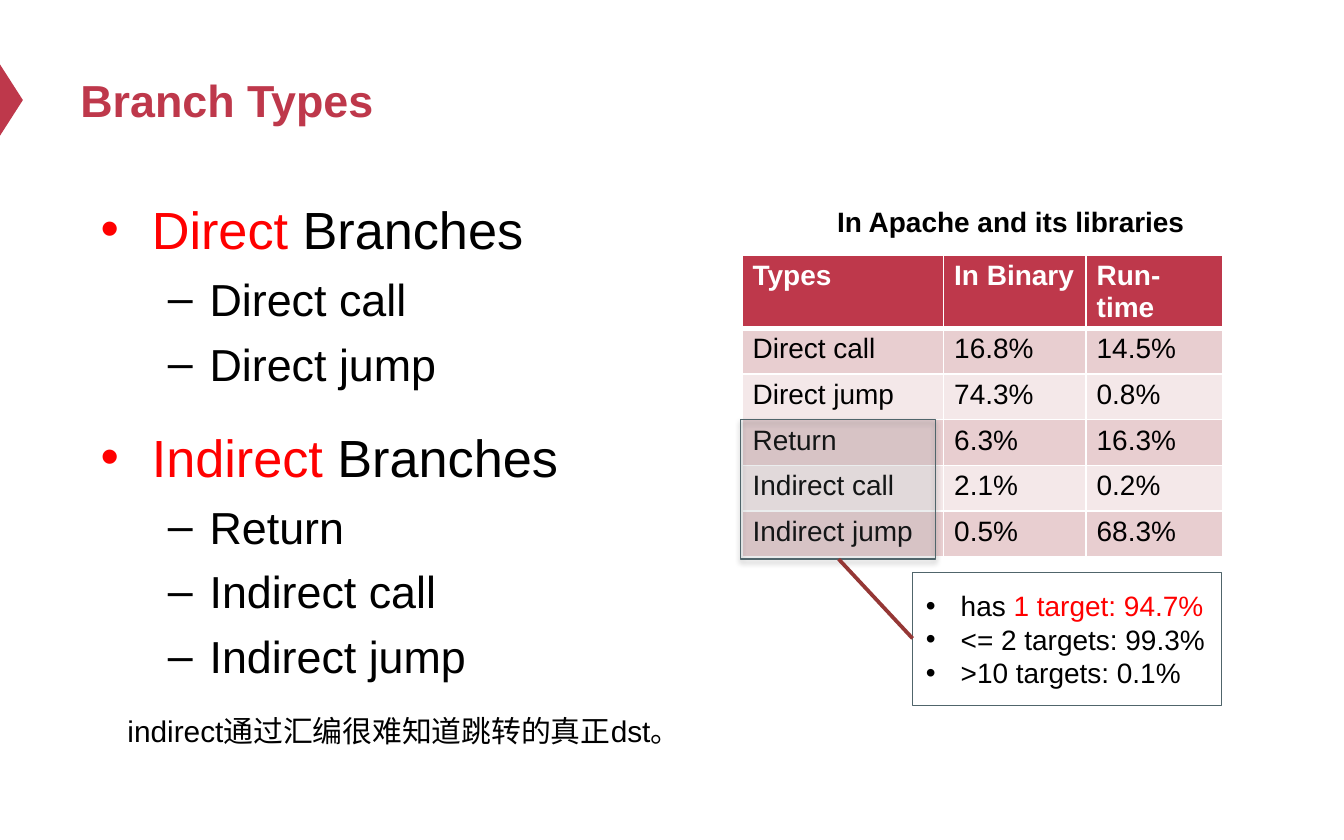
from typing import NamedTuple

from lxml.etree import SubElement
from pptx import Presentation
from pptx.dml.color import RGBColor
from pptx.enum.shapes import MSO_CONNECTOR as Conn, MSO_SHAPE as Shape
from pptx.enum.text import MSO_ANCHOR as Anchor, MSO_AUTO_SIZE as AutoSize
from pptx.oxml.ns import qn
from pptx.util import Inches, Pt

COLORS = {
    "brand": "BE384B", "red": "FF0000", "black": "000000", "white": "FFFFFF",
    "band_dark": "E8CED0", "band_light": "F4E8E9",
    "slate": "50656B", "haze": "A5B7BC", "link": "953735",
}
FONT = "Arial"


class Box(NamedTuple):
    left: float
    top: float
    width: float
    height: float


class Bullet(NamedTuple):
    char: str
    margin: float
    hang: float


class Line(NamedTuple):
    """A paragraph: runs are (text, colour) pairs."""
    runs: list
    size: float
    bullet: Bullet | None = None
    before: float = 0


MAIN = Bullet("•", 0.38, 0.38)
SUB = Bullet("–", 0.81, 0.31)
NOTE = Bullet("•", 0.26, 0.26)

BRANCHES = {
    "Direct": ["Direct call", "Direct jump"],
    "Indirect": ["Return", "Indirect call", "Indirect jump"],
}
TARGETS = [
    [("has ", "black"), ("1 target: 94.7%", "red")],
    [("<= 2 targets: 99.3%", "black")],
    [(">10 targets: 0.1%", "black")],
]
ROWS = [
    ("Types", "In Binary", "Run-time"),
    ("Direct call", "16.8%", "14.5%"),
    ("Direct jump", "74.3%", "0.8%"),
    ("Return", "6.3%", "16.3%"),
    ("Indirect call", "2.1%", "0.2%"),
    ("Indirect jump", "0.5%", "68.3%"),
]
COL_WIDTHS = (1.5, 1.06, 1.02)
ROW_HEIGHT = 0.34


def rgb(name: str) -> RGBColor:
    return RGBColor.from_string(COLORS[name])


def inches(box: Box) -> list:
    return [Inches(v) for v in box]


def write(tf, lines: list[Line], *, bold: bool = False, anchor=None,
          wrap: bool = True, grow: bool = False, insets=None) -> None:
    """Fill a text frame with formatted paragraphs."""
    tf.word_wrap = wrap
    tf.auto_size = AutoSize.SHAPE_TO_FIT_TEXT if grow else AutoSize.NONE
    if anchor is not None:
        tf.vertical_anchor = anchor
    if insets:
        (tf.margin_left, tf.margin_top,
         tf.margin_right, tf.margin_bottom) = inches(insets)
    for i, line in enumerate(lines):
        p = tf.paragraphs[0] if i == 0 else tf.add_paragraph()
        if line.bullet:
            pPr = p._p.get_or_add_pPr()
            pPr.set("marL", str(Inches(line.bullet.margin)))
            pPr.set("indent", str(-Inches(line.bullet.hang)))
            SubElement(pPr, qn("a:buFont"), typeface=FONT)
            SubElement(pPr, qn("a:buChar"), char=line.bullet.char)
        if i and line.before:
            p.space_before = Pt(line.before)
        add_runs(p, line.runs, line.size, bold)


def add_runs(p, runs: list, size: float, bold: bool = False) -> None:
    for text, color in runs:
        r = p.add_run()
        r.text = text
        r.font.name, r.font.size, r.font.bold = FONT, Pt(size), bold
        r.font.color.rgb = rgb(color)


def add_text(s, box: Box, lines: list[Line], **fmt) -> None:
    write(s.shapes.add_textbox(*inches(box)).text_frame, lines, **fmt)


def add_panel(s, kind, box: Box, fill: str = "", line: str = ""):
    sp = s.shapes.add_shape(kind, *inches(box))
    sp.shadow.inherit = False
    if fill:
        sp.fill.solid()
        sp.fill.fore_color.rgb = rgb(fill)
    else:
        sp.fill.background()
    if line:
        sp.line.color.rgb = rgb(line)
        sp.line.width = Pt(0.75)
    else:
        sp.line.fill.background()
    return sp


def set_alpha(color_el, percent: int) -> None:
    SubElement(color_el, qn("a:alpha"), val=str(percent * 1000))


def add_shadow(sp) -> None:
    effects = sp._element.spPr.find(qn("a:effectLst"))
    shadow = SubElement(effects, qn("a:outerShdw"), blurRad=str(Pt(3.1)),
                        dist=str(Pt(1.8)), dir="5400000", rotWithShape="0")
    set_alpha(SubElement(shadow, qn("a:srgbClr"), val=COLORS["black"]), 35)


def set_borders(cell, bottom: float) -> None:
    tcPr = cell._tc.get_or_add_tcPr()
    for side, width in zip("LRTB", (1, 1, 1, bottom)):
        ln = SubElement(tcPr, qn(f"a:ln{side}"), w=str(Pt(width)))
        SubElement(SubElement(ln, qn("a:solidFill")), qn("a:srgbClr"),
                   val=COLORS["white"])


def add_branch_table(s, left: float, top: float) -> None:
    box = Box(left, top, sum(COL_WIDTHS), ROW_HEIGHT * len(ROWS))
    table = s.shapes.add_table(len(ROWS), len(COL_WIDTHS), *inches(box)).table
    table.horz_banding = False
    for column, width in zip(table.columns, COL_WIDTHS):
        column.width = Inches(width)
    for i, row in enumerate(ROWS):
        header = i == 0
        fill = "brand" if header else "band_dark" if i % 2 else "band_light"
        for j, text in enumerate(row):
            cell = table.cell(i, j)
            cell.margin_left = cell.margin_right = Inches(0.08)
            cell.margin_top = cell.margin_bottom = Inches(0.04)
            set_borders(cell, bottom=3 if header else 1)
            cell.fill.solid()
            cell.fill.fore_color.rgb = rgb(fill)
            add_runs(cell.text_frame.paragraphs[0],
                     [(text, "white" if header else "black")], 15, header)


def main() -> None:
    prs = Presentation()
    prs.slide_width, prs.slide_height = Inches(10), Inches(6.25)
    s = prs.slides.add_slide(prs.slide_layouts[6])

    # Title with its edge marker
    marker = add_panel(s, Shape.ISOSCELES_TRIANGLE,
                       Box(-0.18, 0.66, 0.53, 0.17), fill="brand")
    marker.rotation = 90
    add_text(s, Box(0.5, 0.25, 9, 0.98),
             [Line([("Branch Types", "brand")], 24)],
             bold=True, anchor=Anchor.MIDDLE)

    # Share of each branch type
    add_branch_table(s, 5.52, 1.9)

    # Highlight over the indirect types
    highlight = add_panel(s, Shape.RECTANGLE, Box(5.51, 3.12, 1.45, 1.04),
                          fill="haze", line="slate")
    set_alpha(highlight._element.spPr.find(qn("a:solidFill"))[0], 12)
    add_shadow(highlight)

    # Callout with target counts, and its link
    callout = add_panel(s, Shape.RECTANGLE, Box(6.79, 4.26, 2.3, 0.99),
                        line="slate")
    write(callout.text_frame, [Line(runs, 15, NOTE) for runs in TARGETS],
          anchor=Anchor.MIDDLE)
    for p in callout.text_frame.paragraphs:
        p.alignment = 1  # left
    link = s.shapes.add_connector(Conn.STRAIGHT, Inches(6.24), Inches(4.16),
                                  Inches(6.79), Inches(4.75))
    link.line.color.rgb = rgb("link")
    link.line.width = Pt(2)
    SubElement(link._element.spPr, qn("a:effectLst"))

    # Branch outline
    outline = []
    for kind, members in BRANCHES.items():
        outline.append(Line([(kind, "red"), (" Branches", "black")],
                            28, MAIN, 18.7))
        outline += [Line([(m, "black")], 24, SUB, 6) for m in members]
    add_text(s, Box(0.67, 1.39, 7.5, 4.41), outline,
             insets=Box(0.08, 0.08, 0.08, 0.04))

    # Table caption and footnote
    add_text(s, Box(6.13, 1.47, 2.81, 0.35),
             [Line([("In Apache and its libraries", "black")], 15)],
             bold=True, wrap=False, grow=True)
    add_text(s, Box(0.85, 5.25, 4.58, 0.37),
             [Line([("indirect通过汇编很难知道跳转的真正dst。", "black")], 16)],
             grow=True)

    prs.save("out.pptx")


if __name__ == "__main__":
    main()
